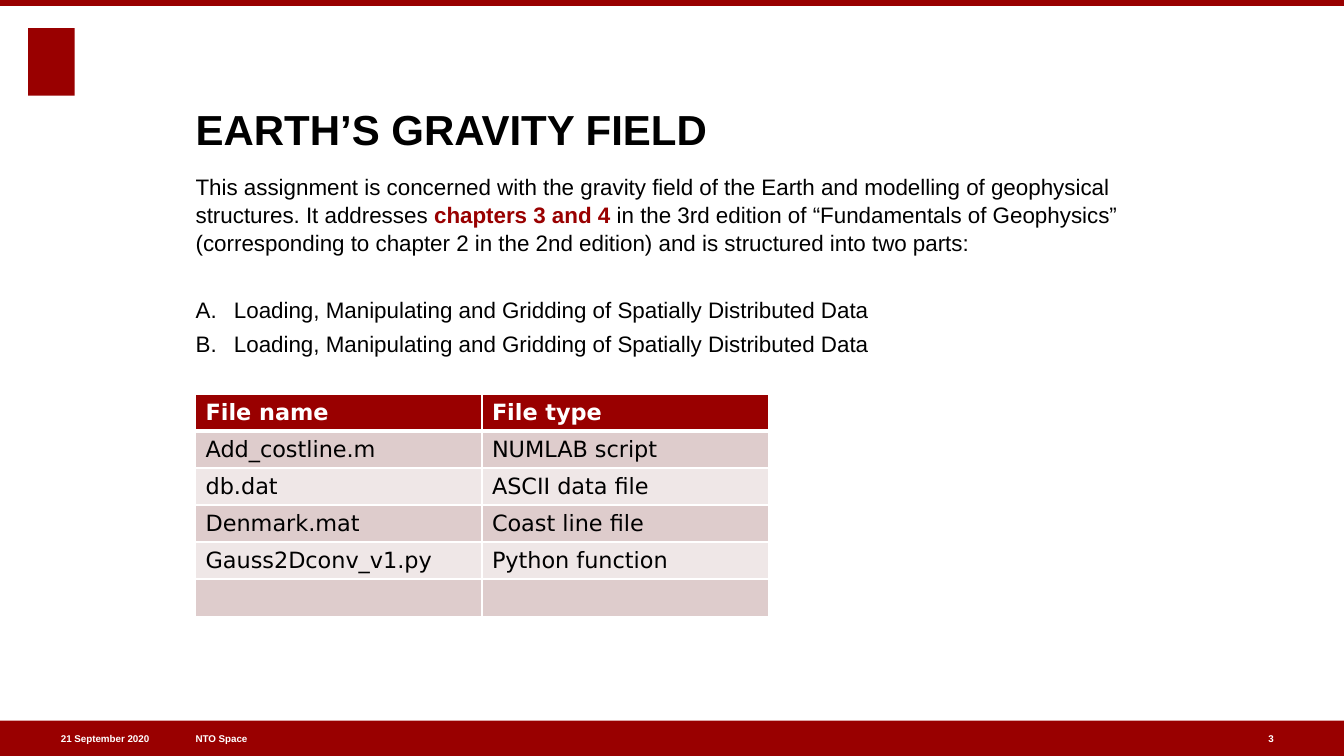
from lxml import etree
from pptx import Presentation
from pptx.dml.color import RGBColor
from pptx.enum.shapes import MSO_SHAPE
from pptx.enum.text import MSO_ANCHOR, MSO_AUTO_SIZE, PP_ALIGN
from pptx.oxml.ns import qn
from pptx.util import Inches, Pt

RED = RGBColor(0x99, 0x00, 0x00)
WHITE = RGBColor(0xFF, 0xFF, 0xFF)
BLACK = RGBColor(0x00, 0x00, 0x00)
DARK_BAND = RGBColor(0xDE, 0xCC, 0xCC)
LIGHT_BAND = RGBColor(0xEF, 0xE7, 0xE7)
RECTANGLE = MSO_SHAPE.RECTANGLE
TOP, MIDDLE, BOTTOM = MSO_ANCHOR.TOP, MSO_ANCHOR.MIDDLE, MSO_ANCHOR.BOTTOM
LEFT, RIGHT = PP_ALIGN.LEFT, PP_ALIGN.RIGHT
NO_FIT = MSO_AUTO_SIZE.NONE

HEADING = "EARTH’S GRAVITY FIELD"
INTRO = [
    ("This assignment is concerned with the gravity field of the Earth and modelling "
     "of geophysical structures. It addresses ", {}),
    ("chapters 3 and 4 ", {"color": RED, "bold": True}),
    ("in the 3rd edition of “Fundamentals of Geophysics” (corresponding to chapter 2 "
     "in the 2nd edition) and is structured into two parts:", {}),
]
PARTS = [
    "Loading, Manipulating and Gridding of Spatially Distributed Data",
    "Loading, Manipulating and Gridding of Spatially Distributed Data",
]
FILES = [
    ("File name", "File type"),
    ("Add_costline.m", "NUMLAB script"),
    ("db.dat", "ASCII data file"),
    ("Denmark.mat", "Coast line file"),
    ("Gauss2Dconv_v1.py", "Python function"),
    ("", ""),
]
FOOTER = [
    ("21 September 2020", 0.27, 1.21, RIGHT),
    ("NTO Space", 1.94, 3.72, LEFT),
    ("3", 12.58, 0.47, LEFT),
]
RED_BLOCKS = [
    (0.28, 0.28, 0.46, 0.67),
    (0, 7.15, 13.33, 0.35),
    (0, 0, 13.33, 0.06),
]
MARGIN = 1.94
FOOTER_TOP, FOOTER_HEIGHT = 7.15, 0.35
TABLE_TOP, COLUMN_WIDTH, ROW_HEIGHT = 3.91, 2.84, 0.367
PART_INDENT = 0.38
PARAGRAPH_GAP, PARTS_GAP = 4.3, 27.8


def add_text(paragraph, text, size=16, color=BLACK, bold=False, font="Arial"):
    """Add one formatted run to a paragraph."""
    run = paragraph.add_run()
    run.text = text
    run.font.size = Pt(size)
    run.font.bold = bold
    run.font.name = font
    run.font.color.rgb = color


def set_frame(box, left, top, width, height, anchor=TOP):
    """Place a text shape and return its frame without insets."""
    box.left, box.top = Inches(left), Inches(top)
    box.width, box.height = Inches(width), Inches(height)
    frame = box.text_frame
    frame.word_wrap = True
    frame.auto_size = NO_FIT
    frame.vertical_anchor = anchor
    frame.margin_left = frame.margin_top = frame.margin_right = frame.margin_bottom = 0
    return frame


def set_numbering(paragraph, indent, numbered):
    """Give a paragraph a lettered hanging indent, or no bullet."""
    properties = paragraph._p.get_or_add_pPr()
    properties.set("marL", str(Inches(indent)))
    properties.set("indent", str(-Inches(indent)))
    if numbered:
        etree.SubElement(properties, qn("a:buFont"), typeface="Arial")
        etree.SubElement(properties, qn("a:buAutoNum"), type="alphaUcPeriod")
    else:
        etree.SubElement(properties, qn("a:buNone"))


def set_borders(cell, bottom_width):
    """Draw white lines on all four sides of a cell."""
    properties = cell._tc.get_or_add_tcPr()
    widths = {"a:lnL": 1, "a:lnR": 1, "a:lnT": 1, "a:lnB": bottom_width}
    for position, (side, width) in enumerate(widths.items()):
        line = etree.Element(qn(side), w=str(Pt(width)))
        fill = etree.SubElement(line, qn("a:solidFill"))
        etree.SubElement(fill, qn("a:srgbClr"), val=str(WHITE))
        properties.insert(position, line)


def add_body(body):
    """Write the introduction and the lettered parts."""
    frame = set_frame(body, MARGIN, 1.7, 9.45, 1.78)
    paragraphs = [(INTRO, False)] + [([(part, {})], True) for part in PARTS]
    for index, (runs, numbered) in enumerate(paragraphs):
        paragraph = frame.add_paragraph() if index else frame.paragraphs[0]
        paragraph.line_spacing = 1.05
        paragraph.space_before = Pt(PARTS_GAP if index == 1 else PARAGRAPH_GAP)
        set_numbering(paragraph, PART_INDENT if numbered else 0, numbered)
        for text, style in runs:
            add_text(paragraph, text, **style)


def add_file_table(slide):
    """Add the banded table of files."""
    columns = len(FILES[0])
    table = slide.shapes.add_table(
        len(FILES), columns, Inches(MARGIN), Inches(TABLE_TOP),
        Inches(columns * COLUMN_WIDTH), Inches(len(FILES) * ROW_HEIGHT)).table
    for column in table.columns:
        column.width = Inches(COLUMN_WIDTH)
    for row, entries in enumerate(FILES):
        header = row == 0
        band = RED if header else DARK_BAND if row % 2 else LIGHT_BAND
        for column, entry in enumerate(entries):
            cell = table.cell(row, column)
            cell.fill.solid()
            cell.fill.fore_color.rgb = band
            cell.vertical_anchor = MIDDLE
            paragraph = cell.text_frame.paragraphs[0]
            paragraph.font.size = Pt(16)
            if entry:
                add_text(paragraph, entry, color=WHITE if header else BLACK,
                         bold=header, font="DejaVu Sans")
            set_borders(cell, 3 if header else 1)


def main():
    """Build the slide and save it."""
    deck = Presentation()
    deck.slide_width, deck.slide_height = Inches(13.33), Inches(7.5)
    slide = deck.slides.add_slide(deck.slide_layouts[1])

    for bounds in RED_BLOCKS:
        block = slide.shapes.add_shape(RECTANGLE, *map(Inches, bounds))
        block.shadow.inherit = False
        block.fill.solid()
        block.fill.fore_color.rgb = RED
        block.line.fill.background()

    for text, left, width, alignment in FOOTER:
        box = slide.shapes.add_textbox(0, 0, 0, 0)
        frame = set_frame(box, left, FOOTER_TOP, width, FOOTER_HEIGHT, MIDDLE)
        frame.paragraphs[0].alignment = alignment
        add_text(frame.paragraphs[0], text, size=7, color=WHITE, bold=True)

    heading = set_frame(slide.shapes.title, MARGIN, 0.47, 10.18, 1.06, BOTTOM).paragraphs[0]
    heading.alignment = LEFT
    add_text(heading, HEADING, size=30, bold=True)

    add_body(slide.placeholders[1])
    add_file_table(slide)
    deck.save("out.pptx")


if __name__ == "__main__":
    main()
